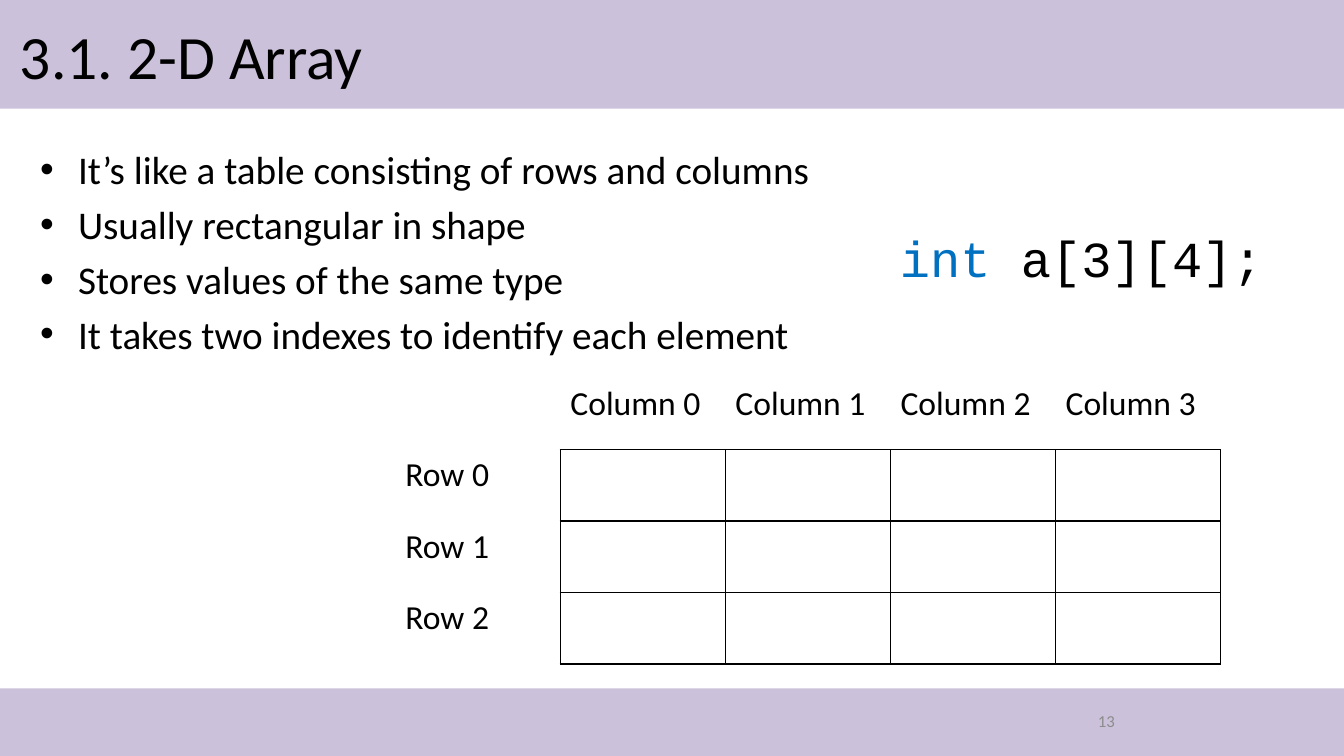
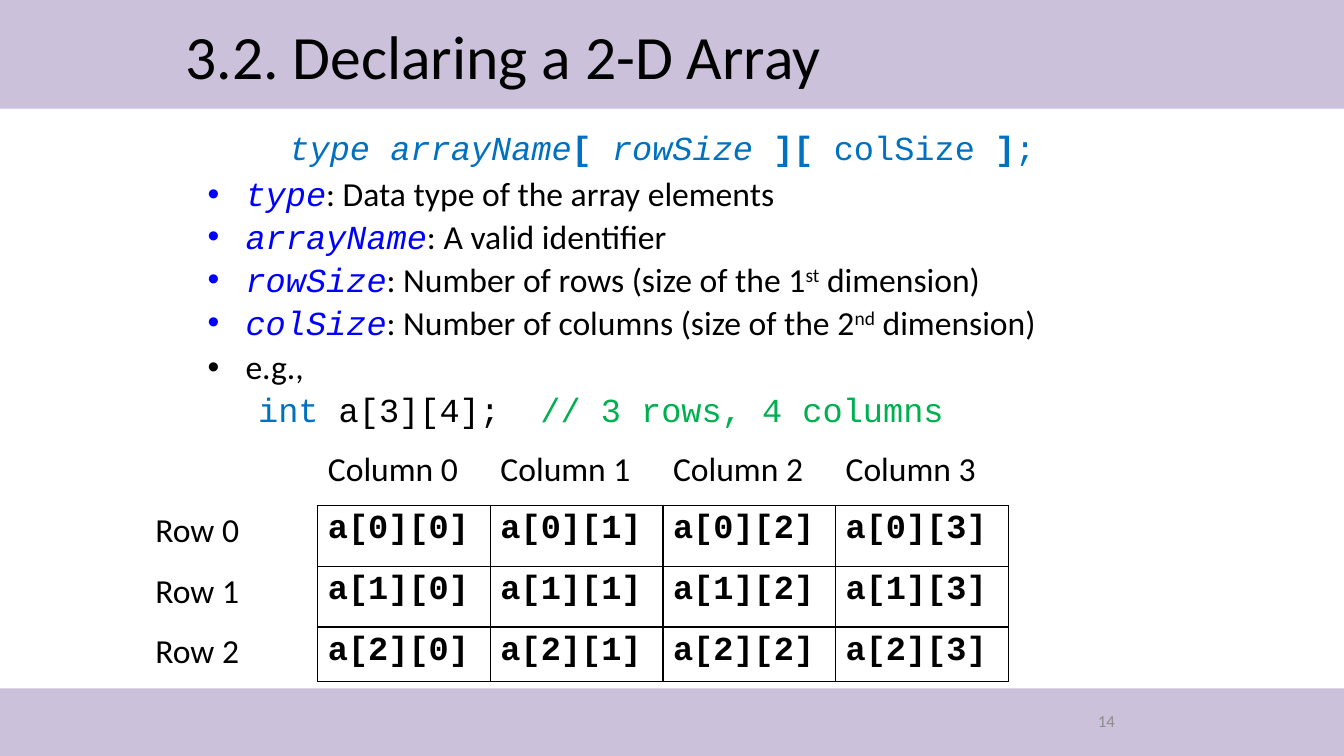
from dataclasses import dataclass
from typing import NamedTuple

from lxml import etree
from pptx import Presentation
from pptx.dml.color import RGBColor
from pptx.enum.shapes import MSO_SHAPE
from pptx.enum.text import MSO_ANCHOR, MSO_AUTO_SIZE, PP_ALIGN
from pptx.oxml import parse_xml
from pptx.oxml.ns import nsdecls, qn
from pptx.util import Cm, Pt

RECTANGLE = MSO_SHAPE.RECTANGLE
TOP, MIDDLE = MSO_ANCHOR.TOP, MSO_ANCHOR.MIDDLE
LEFT, RIGHT = PP_ALIGN.LEFT, PP_ALIGN.RIGHT
NO_AUTOSIZE = MSO_AUTO_SIZE.NONE

COLORS = {
    "band": "CCC1DA",
    "text": "000000",
    "keyword": "0070C0",
    "term": "0000FF",
    "comment": "00B050",
    "number": "8C8C8C",
}
SANS, MONO = "Calibri", "Courier New"
SLIDE_WIDTH, SLIDE_HEIGHT = 33.87, 19.05


class Area(NamedTuple):
    """Left, top, width and height in centimetres."""
    left: float
    top: float
    width: float
    height: float

    def lengths(self) -> list[Cm]:
        return [Cm(value) for value in self]


class Span(NamedTuple):
    text: str
    font: str = SANS
    color: str = "text"
    bold: bool = False
    italic: bool = False
    raised: bool = False


@dataclass(frozen=True)
class Line:
    spans: list[Span]
    code_indent: float | None = None  # centimetres; code lines have no bullet
    before: float | None = None  # points; otherwise the template's spacing


@dataclass(frozen=True)
class Grid:
    left: float
    top: float
    column_width: float
    row_heights: list[float]
    array_name: str = ""  # names the elements; empty leaves the cells blank


@dataclass(frozen=True)
class Page:
    number: int
    title: str
    title_area: Area
    body_area: Area
    body_size: float
    line_spacing: float
    lines: list[Line]
    grid: Grid


BANDS = [Area(0, 0, SLIDE_WIDTH, 2.74), Area(0, 17.35, SLIDE_WIDTH, 1.7)]
NUMBER_AREA = Area(22.43, 17.65, 5.92, 1.02)
DECLARATION_AREA = Area(22.43, 5.61, 9.73, 1.8)
COLUMN_COUNT = 4


# Text
def add_spans(para, spans: list[Span], size: float) -> None:
    for item in spans:
        span = para.add_run()
        span.text = item.text
        font = span.font
        font.name, font.size = item.font, Pt(size)
        font.bold, font.italic = item.bold, item.italic
        font.color.rgb = RGBColor.from_string(COLORS[item.color])
        if item.raised:
            span._r.get_or_add_rPr().set("baseline", "30000")


def place(box, area: Area, anchor=TOP) -> None:
    box.left, box.top, box.width, box.height = area.lengths()
    frame = box.text_frame
    frame.word_wrap = True
    frame.auto_size = NO_AUTOSIZE
    frame.vertical_anchor = anchor


def add_text(slide, area: Area, spans: list[Span], size: float,
             align=LEFT, anchor=TOP) -> None:
    box = slide.shapes.add_textbox(*area.lengths())
    place(box, area, anchor)
    para = box.text_frame.paragraphs[0]
    para.alignment = align
    add_spans(para, spans, size)


def fill_body(body, page: Page) -> None:
    place(body, page.body_area)
    frame = body.text_frame
    for index, line in enumerate(page.lines):
        para = frame.add_paragraph() if index else frame.paragraphs[0]
        if line.code_indent is not None:
            para.level = 1
            properties = para._p.get_or_add_pPr()
            properties.set("marL", str(int(Cm(line.code_indent))))
            properties.set("indent", "0")
            etree.SubElement(properties, qn("a:buNone"))
        para.line_spacing = page.line_spacing
        if index == 0:
            para.space_before = Pt(0)
        elif line.before is not None:
            para.space_before = Pt(line.before)
        add_spans(para, line.spans, page.body_size)


# Table
def set_border(cell, side: str, visible: bool) -> None:
    paint = (f'<a:solidFill><a:srgbClr val="{COLORS["text"]}"/></a:solidFill>'
             if visible else "<a:noFill/>")
    cell._tc.get_or_add_tcPr().append(parse_xml(
        f'<a:ln{side} {nsdecls("a")} w="{int(Pt(1))}">{paint}</a:ln{side}>'))


def cell_span(grid: Grid, row: int, column: int) -> Span | None:
    if row and column:
        if not grid.array_name:
            return None
        return Span(f"{grid.array_name}[{row - 1}][{column - 1}]", MONO, bold=True)
    if row:
        return Span(f"Row {row - 1}")
    return Span(f"Column {column - 1}") if column else None


def add_grid(slide, grid: Grid) -> None:
    area = Area(grid.left, grid.top, grid.column_width * (COLUMN_COUNT + 1),
                sum(grid.row_heights))
    table = slide.shapes.add_table(
        len(grid.row_heights), COLUMN_COUNT + 1, *area.lengths()).table
    table.first_row = table.horz_banding = False
    for column in table.columns:
        column.width = Cm(grid.column_width)
    for row, height in enumerate(grid.row_heights):
        table.rows[row].height = Cm(height)
        for column in range(COLUMN_COUNT + 1):
            cell = table.cell(row, column)
            element = row > 0 and column > 0
            borders = {"L": element, "R": row > 0, "T": element, "B": column > 0}
            for side, visible in borders.items():
                set_border(cell, side, visible)
            cell.fill.background()
            span = cell_span(grid, row, column)
            if span:
                add_spans(cell.text_frame.paragraphs[0], [span], 24)


# Shared layout
def add_bands(slide) -> None:
    """Draw the bands and move them behind everything on the slide's layout."""
    tree = slide.slide_layout.placeholders[0].element.getparent()
    for index, area in enumerate(BANDS):
        band = slide.shapes.add_shape(RECTANGLE, *area.lengths())
        band.shadow.inherit = False
        band.fill.solid()
        band.fill.fore_color.rgb = RGBColor.from_string(COLORS["band"])
        band.line.fill.background()
        band.element.nvSpPr.cNvPr.set("id", str(101 + index))
        tree.insert(2 + index, band.element)


def add_page(deck, page: Page):
    slide = deck.slides.add_slide(deck.slide_layouts[1])
    title = slide.shapes.title
    place(title, page.title_area, MIDDLE)
    para = title.text_frame.paragraphs[0]
    para.alignment = LEFT
    add_spans(para, [Span(page.title)], 44)
    fill_body(slide.placeholders[1], page)
    add_grid(slide, page.grid)
    add_text(slide, NUMBER_AREA, [Span(str(page.number), color="number")], 12,
             RIGHT, MIDDLE)
    return slide


# Content
def term(name: str, *meaning: Span, before: float | None = None) -> Line:
    return Line([Span(name, MONO, "term", italic=True), *meaning], before=before)


def syntax(text: str, bold: bool = False, italic: bool = False) -> Span:
    return Span(text, MONO, "keyword", bold, italic)


ARRAY_PAGE = Page(
    number=13,
    title="3.1. 2-D Array",
    title_area=Area(0.25, 0.2, 30.48, 2.34),
    body_area=Area(0.76, 3.53, 22.86, 13.44),
    body_size=28,
    line_spacing=1.0,
    lines=[Line([Span(text)]) for text in (
        "It’s like a table consisting of rows and columns",
        "Usually rectangular in shape",
        "Stores values of the same type",
        "It takes two indexes to identify each element",
    )],
    grid=Grid(9.96, 9.53, 4.16, [1.8] * 4),
)

DECLARING_PAGE = Page(
    number=14,
    title="3.2. Declaring a 2-D Array",
    title_area=Area(4.42, 0.2, 24.79, 2.34),
    body_area=Area(4.98, 3.18, 24.56, 9.09),
    body_size=24,
    line_spacing=0.9,
    lines=[
        Line([
            syntax("type arrayName", italic=True),
            syntax("[ ", bold=True),
            syntax("rowSize ", italic=True),
            syntax("][ ", bold=True),
            syntax("colSize "),
            syntax("]", bold=True),
            syntax(";"),
        ], code_indent=2.06),
        term("type", Span(": Data type of the array elements"), before=7),
        term("arrayName", Span(": A valid identifier")),
        term("rowSize", Span(": Number of rows (size of the 1"),
             Span("st", raised=True), Span(" dimension)")),
        term("colSize", Span(": Number of columns (size of the 2"),
             Span("nd", raised=True), Span(" dimension)")),
        Line([Span("e.g.,")], before=6),
        Line([
            syntax("int"),
            Span(" a[3][4];  ", MONO),
            Span("// 3 rows, 4 columns", MONO, "comment"),
        ], code_indent=1.27),
    ],
    grid=Grid(3.66, 11.2, 4.35, [1.54, 1.53, 1.53, 1.38], "a"),
)


def main() -> None:
    deck = Presentation()
    deck.slide_width, deck.slide_height = Cm(SLIDE_WIDTH), Cm(SLIDE_HEIGHT)
    array_slide = add_page(deck, ARRAY_PAGE)
    add_bands(array_slide)
    add_text(array_slide, DECLARATION_AREA,
             [syntax("int"), Span(" a[3][4];", MONO)], 36)
    add_page(deck, DECLARING_PAGE)
    deck.save("out.pptx")


if __name__ == "__main__":
    main()
